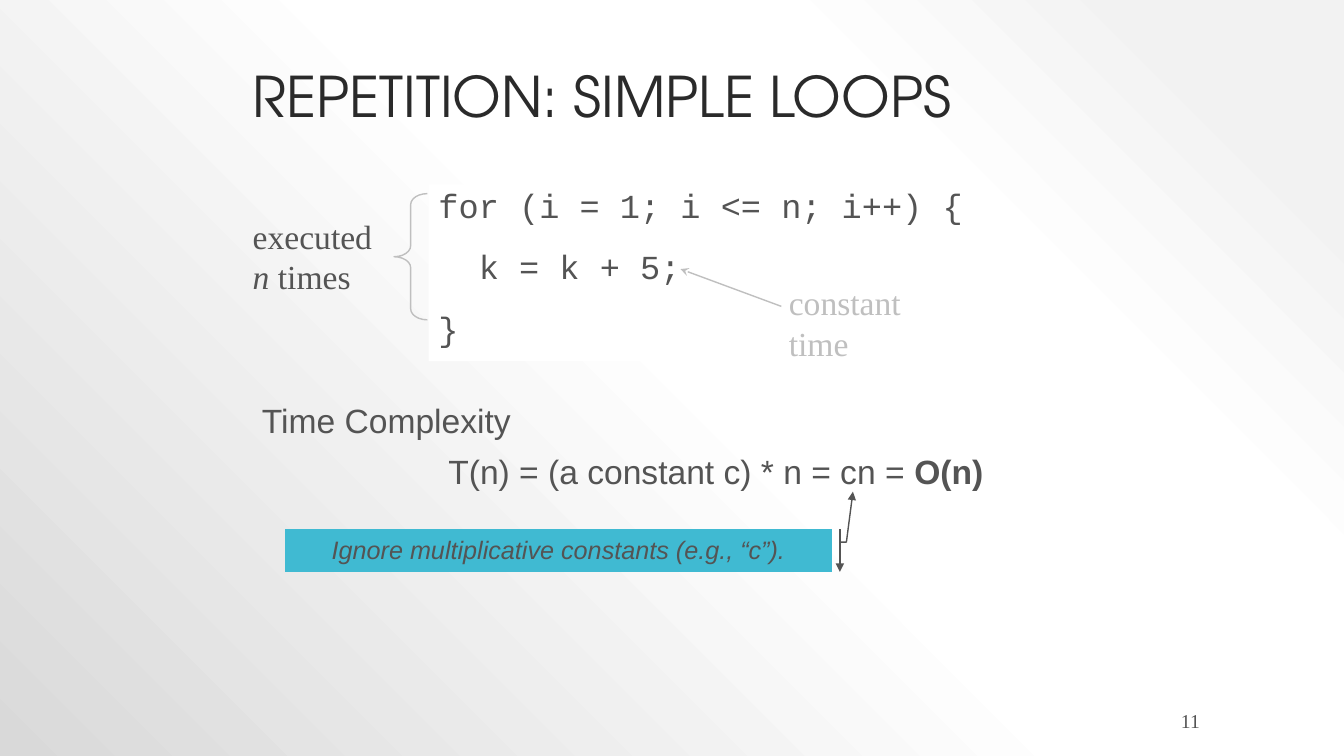
from dataclasses import dataclass

from lxml import etree
from pptx import Presentation
from pptx.dml.color import RGBColor
from pptx.enum.shapes import MSO_CONNECTOR, MSO_SHAPE
from pptx.enum.text import MSO_ANCHOR as Anchor, MSO_AUTO_SIZE as AutoSize, PP_ALIGN as Align
from pptx.oxml import parse_xml
from pptx.oxml.ns import nsdecls, qn
from pptx.util import Cm, Pt

COLORS = {
    "text": "545454",
    "title": "2A2A2A",
    "muted": "BFBFBF",
    "code": "FFFFFF",
    "callout": "40BAD2",
}
BACKGROUND_STOPS = [(10, "F2F2F2"), (28, "FFFFFF"), (48, "FFFFFF"), (100, "D9D9D9")]


@dataclass
class Run:
    text: str
    bold: bool = False
    italic: bool = False


@dataclass
class Block:
    """A text block: box in cm, and one list of runs per paragraph."""
    box: tuple[float, float, float, float]
    paragraphs: list[list[Run]]
    font: str = "Arial"
    size: int = 24
    color: str = "text"
    align: Align = Align.LEFT
    anchor: Anchor = Anchor.TOP
    wrap: bool = True
    grow: bool = False
    line_spacing: float = 1.0
    gap: int = 0
    fill: str | None = None


PAGE_NUMBER = Block((27.31, 17.91, 3.18, 0.51), [[Run("11")]], "Times New Roman", 14,
                    align=Align.RIGHT, anchor=Anchor.MIDDLE)
TITLE = Block((6.12, 0.79, 21.59, 2.59), [[Run("REPETITION: SIMPLE LOOPS")]],
              "TeX Gyre Adventor", 40, "title", anchor=Anchor.BOTTOM, line_spacing=0.9)
FORMULA = Block((11.05, 11.23, 14.76, 1.27),
                [[Run("T(n) = (a constant c) * n = cn = "), Run("O(n)", bold=True)]], grow=True)
CODE = Block((10.8, 4.65, 13.77, 4.45),
             [[Run("for (i = 1; i <= n; i++) {")], [Run("  k = k + 5;")], [Run("}")]],
             "Courier New", line_spacing=0.9, gap=18, fill="code")
CONSTANT_TIME = Block((19.63, 6.99, 5.03, 1.27), [[Run("constant time")]],
                      "Times New Roman", color="muted", wrap=False, grow=True)
EXECUTED = Block((6.12, 5.31, 3.56, 2.31),
                 [[Run("executed")], [Run("n", italic=True), Run(" times")]],
                 "Times New Roman", wrap=False, grow=True)
COMPLEXITY = Block((6.35, 9.96, 7.42, 1.27), [[Run("Time Complexity")]], grow=True)
CALLOUT = Block((7.19, 13.34, 13.77, 1.07),
                [[Run("Ignore multiplicative constants (e.g., “c”).", italic=True)]],
                size=18, align=Align.CENTER, fill="callout")


def rgb(name: str) -> RGBColor:
    return RGBColor.from_string(COLORS[name])


def write_text(sp, block: Block) -> None:
    tf = sp.text_frame
    tf.word_wrap = block.wrap
    tf.vertical_anchor = block.anchor
    tf.auto_size = AutoSize.SHAPE_TO_FIT_TEXT if block.grow else AutoSize.NONE
    for i, runs in enumerate(block.paragraphs):
        p = tf.add_paragraph() if i else tf.paragraphs[0]
        p.alignment = block.align
        p.line_spacing = block.line_spacing
        p.space_before = Pt(block.gap if i else 0)
        for run in runs:
            r = p.add_run()
            r.text = run.text
            r.font.name = block.font
            r.font.size = Pt(block.size)
            r.font.bold = run.bold
            r.font.italic = run.italic
            r.font.color.rgb = rgb(block.color)


def add_text(s, block: Block) -> None:
    sp = s.shapes.add_textbox(*map(Cm, block.box))
    if block.fill:
        sp.fill.solid()
        sp.fill.fore_color.rgb = rgb(block.fill)
    write_text(sp, block)


def style_line(sp, color: str, arrow: str | None = None) -> None:
    sp.line.color.rgb = rgb(color)
    sp.line.width = Pt(1)
    if arrow:
        tail = etree.SubElement(sp.line._get_or_add_ln(), qn("a:tailEnd"))
        tail.set("type", arrow)


def add_outline(s, kind: MSO_SHAPE, box: tuple, adjustments: list[float], color: str,
                arrow: str | None = None):
    sp = s.shapes.add_shape(kind, *map(Cm, box))
    sp.shadow.inherit = False
    for i, value in enumerate(adjustments):
        sp.adjustments[i] = value
    sp.fill.background()
    style_line(sp, color, arrow)
    return sp


def add_arrow(s, start: tuple, end: tuple, color: str) -> None:
    line = s.shapes.add_connector(MSO_CONNECTOR.STRAIGHT, *map(Cm, start + end))
    style_line(line, color, "stealth")
    etree.SubElement(line._element.spPr, qn("a:effectLst"))


def set_background(s) -> None:
    stops = "".join(f'<a:gs pos="{pos * 1000}"><a:srgbClr val="{color}"/></a:gs>'
                    for pos, color in BACKGROUND_STOPS)
    bg = parse_xml(
        f'<p:bg {nsdecls("p", "a")}><p:bgPr><a:gradFill rotWithShape="1">'
        f'<a:gsLst>{stops}</a:gsLst><a:path path="circle">'
        '<a:fillToRect l="100000" b="100000"/></a:path></a:gradFill>'
        '<a:effectLst/></p:bgPr></p:bg>')
    s._element.cSld.insert(0, bg)


def main() -> None:
    prs = Presentation()
    prs.slide_width, prs.slide_height = Cm(33.87), Cm(19.05)
    s = prs.slides.add_slide(prs.slide_layouts[6])
    set_background(s)

    # Page number, title, formula and code
    for block in (PAGE_NUMBER, TITLE, FORMULA, CODE):
        add_text(s, block)

    # Cost of the loop body
    add_text(s, CONSTANT_TIME)
    add_arrow(s, (19.69, 7.72), (17.15, 6.78), "muted")

    # Number of iterations
    add_text(s, EXECUTED)
    add_outline(s, MSO_SHAPE.LEFT_BRACE, (9.93, 4.88, 0.84, 3.18), [0.33, 0.5], "muted")

    # Callout pointing at the constant
    sp = add_outline(s, MSO_SHAPE.LINE_CALLOUT_2_ACCENT_BAR, CALLOUT.box,
                     [0.3, 1.015, 0.3, 1.027, -0.887, 1.039], "text", "triangle")
    sp.fill.solid()
    sp.fill.fore_color.rgb = rgb(CALLOUT.fill)
    write_text(sp, CALLOUT)

    add_text(s, COMPLEXITY)
    prs.save("out.pptx")


if __name__ == "__main__":
    main()
